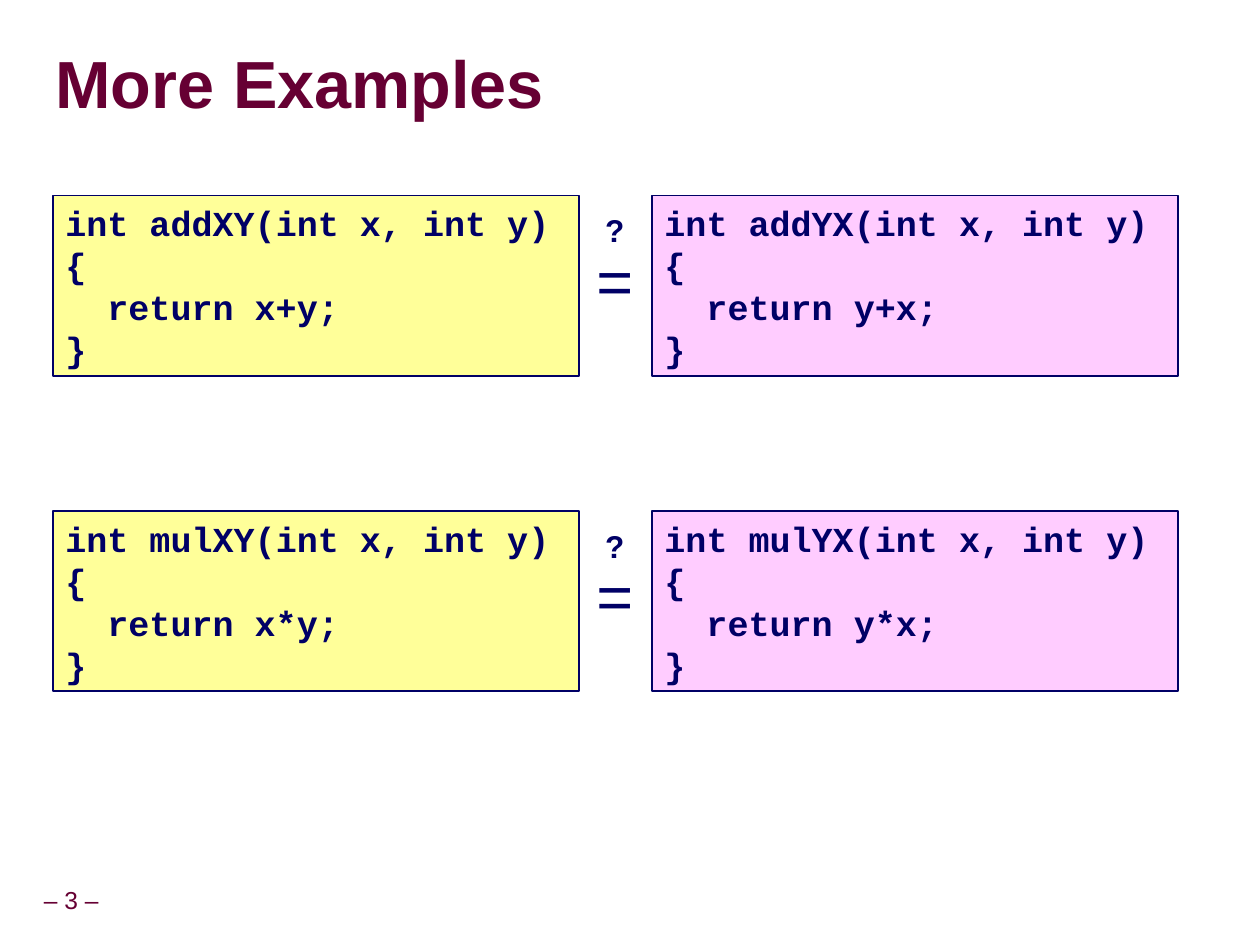
from lxml import etree
from pptx import Presentation
from pptx.dml.color import RGBColor
from pptx.enum import shapes, text
from pptx.oxml import ns
from pptx.util import Inches, Pt

WINE, NAVY = "660033", "000066"
LEFT, MID, TOP = 0.42, 4.68, 1.55
STEP, DROP = 4.75, 2.5


def rgb(code):
    return RGBColor.from_string(code)


def write(shape, lines, color=NAVY, font="Arial", sizes=(20,), bold=(True,),
          align="LEFT", anchor="TOP", space=1.0, pad=(0.05, 0.05), wrap=True):
    """Fill a shape with lines; sizes and bold repeat their last value."""
    frame = shape.text_frame
    frame.text = "\n".join(lines)
    frame.word_wrap = wrap
    frame.auto_size = text.MSO_AUTO_SIZE.NONE
    frame.vertical_anchor = text.MSO_ANCHOR[anchor]
    frame.margin_left = frame.margin_right = Inches(pad[0])
    frame.margin_top = frame.margin_bottom = Inches(pad[1])
    for i, para in enumerate(frame.paragraphs):
        para.alignment = text.PP_ALIGN[align]
        para.line_spacing = space
        face = para.runs[0].font
        face.name = font
        face.size = Pt(sizes[min(i, len(sizes) - 1)])
        face.bold = bold[min(i, len(bold) - 1)]
        face.color.rgb = rgb(color)
    return frame


deck = Presentation()
deck.slide_width, deck.slide_height = Inches(9.99), Inches(7.49)
slide = deck.slides.add_slide(deck.slide_layouts[5])

# Title with a grey text shadow
title = slide.shapes.title
title.left, title.top = Inches(0.44), Inches(0.27)
title.width, title.height = Inches(9.52), Inches(0.85)
frame = write(title, ["More Examples"], color=WINE, sizes=(38,),
              anchor="MIDDLE", space=0.87, pad=(0, 0))
props = frame.paragraphs[0].runs[0].font.fill._xPr
effects = etree.Element(ns.qn("a:effectLst"))
shadow = etree.SubElement(effects, ns.qn("a:outerShdw"),
                          dist="38100", dir="2700000")
etree.SubElement(shadow, ns.qn("a:srgbClr"), val="969696")
props.find(ns.qn("a:solidFill")).addnext(effects)

# Each row asks whether two functions are equal
for row, (name, sign) in enumerate([("add", "+"), ("mul", "*")]):
    top = TOP + row * DROP
    for col, (a, b, fill) in enumerate([("x", "y", "FFFF99"),
                                        ("y", "x", "FFCCFF")]):
        box = slide.shapes.add_shape(
            shapes.MSO_SHAPE.RECTANGLE, Inches(LEFT + col * STEP),
            Inches(top), Inches(4.17), Inches(1.43))
        box.shadow.inherit = False
        box.fill.solid()
        box.fill.fore_color.rgb = rgb(fill)
        box.line.color.rgb = rgb(NAVY)
        box.line.width = Pt(1)
        code = [f"int {name}{a.upper()}{b.upper()}(int x, int y)",
                "{", f"return {a}{sign}{b};", "}"]
        frame = write(box, code, font="Courier New", pad=(0.1, 0.05))
        indent = frame.paragraphs[2]._p.get_or_add_pPr()
        indent.set("marL", str(Pt(24)))
    equal = slide.shapes.add_textbox(Inches(MID), Inches(top + 0.11),
                                     Inches(0.39), Inches(0.91))
    write(equal, ["?", "="], sizes=(18, 36), bold=(True, False),
          align="CENTER", space=0.9, wrap=False)

page = slide.shapes.add_textbox(Inches(-0.09), Inches(6.99),
                                Inches(1.31), Inches(0.31))
write(page, ["– 3 –"], color=WINE, sizes=(14,), bold=(False,),
      align="CENTER", anchor="MIDDLE", space=0.9, wrap=False)

deck.save("out.pptx")
